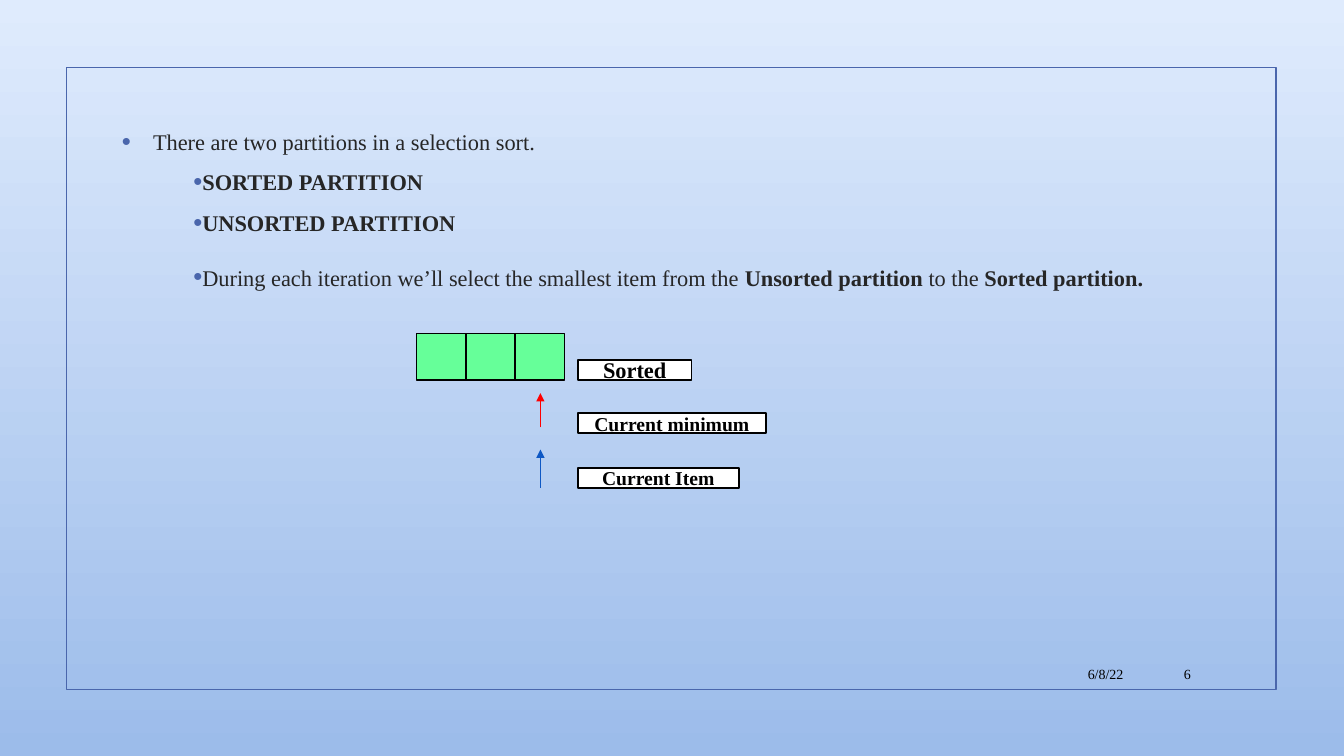
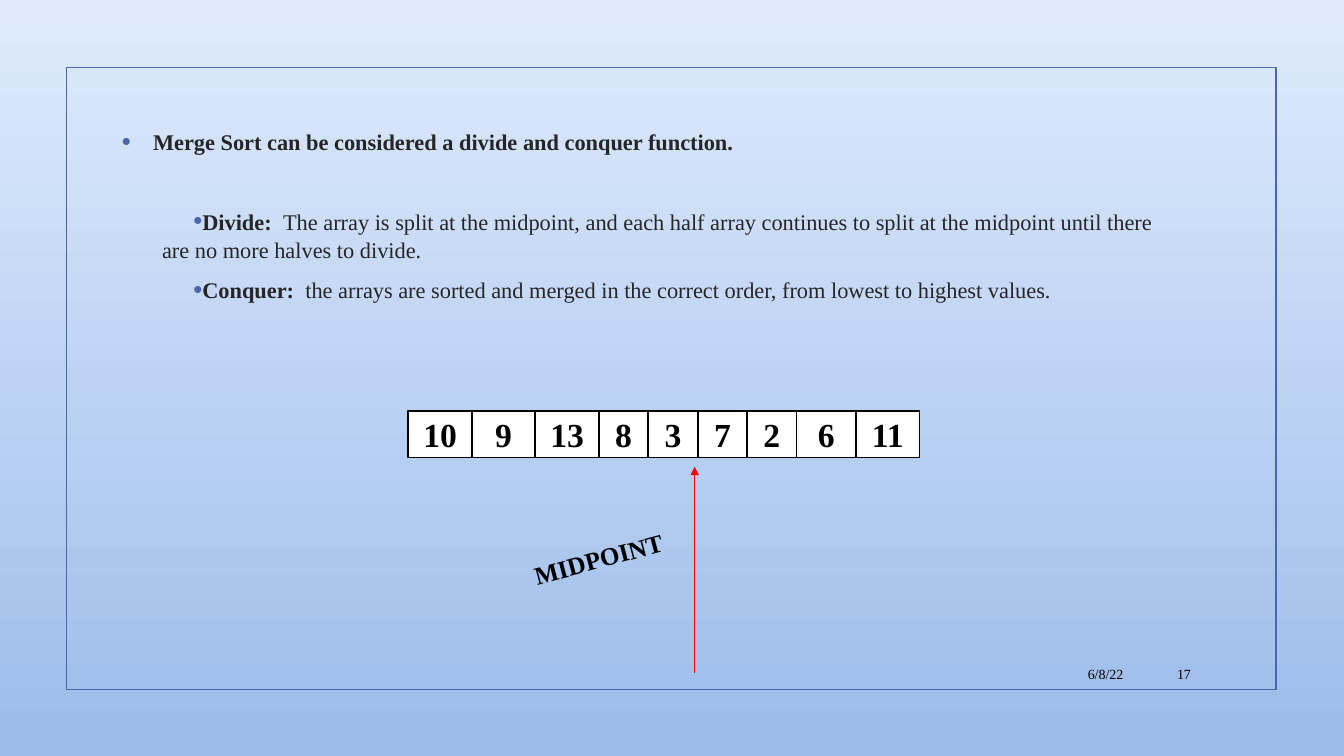
from lxml import etree
from pptx import Presentation
from pptx.dml.color import RGBColor
from pptx.enum.shapes import MSO_CONNECTOR, MSO_SHAPE
from pptx.enum.text import MSO_ANCHOR, PP_ALIGN
from pptx.oxml.ns import qn
from pptx.util import Inches, Pt

RECT, LINE = MSO_SHAPE.RECTANGLE, MSO_CONNECTOR.STRAIGHT
MIDDLE, TOP = MSO_ANCHOR.MIDDLE, MSO_ANCHOR.TOP
LEFT, MID, RIGHT = PP_ALIGN.LEFT, PP_ALIGN.CENTER, PP_ALIGN.RIGHT

# Shared look
FONT = "Times New Roman"
SKY, DUSK, BLUE = "DFEBFD", "9CBCEA", "4A66AC"
INK, BLACK, WHITE = "262626", "000000", "FFFFFF"
GREEN, RED, AZURE = "66FF99", "FF0000", "0E58C4"
FRAME = (0.66, 0.67, 12, 6.17)
BODY = (1.11, 1.21, 10.5, 3.63)
DATE = "6/8/22"
FOOT = {"top": 6.53, "high": 0.31}
HIGH = 0.46  # height of an array cell
MAIN, SUB = (0.31, -0.31), (0.4, 0.31)  # left margin and first-line indent
GAP = 3  # usual space before a paragraph

# Content: body rows are (indent, space before, [(text, bold), ...])
SORT = {
    "page": "6",
    "body": [
        (MAIN, GAP, [("There are two partitions in a selection sort.", False)]),
        (SUB, GAP, [("SORTED PARTITION", True)]),
        (SUB, GAP, [("UNSORTED PARTITION", True)]),
        (SUB, 13, [
            ("During each iteration we’ll select the smallest item from the ", False),
            ("Unsorted partition ", True),
            ("to the ", False),
            ("Sorted partition.", True)]),
    ],
    "cells": (4.13, 3.31, GREEN, [("", 0.49)] * 3),
    "arrows": [(5.36, 4.24, 3.9, RED), (5.36, 4.84, 4.46, AZURE)],
    "labels": [("Sorted", 3.57, 1.13, 16),
               ("Current minimum", 4.1, 1.87, 14),
               ("Current Item", 4.64, 1.6, 14)],
}
MERGE = {
    "page": "17",
    "body": [
        (MAIN, GAP, [
            ("Merge Sort can be considered a divide and conquer function.", True)]),
        (SUB, 31, [
            ("Divide:  ", True),
            ("The array is split at the midpoint, and each half array continues "
             "to split at the midpoint until there are no more halves to divide.",
             False)]),
        (SUB, GAP, [
            ("Conquer:  ", True),
            ("the arrays are sorted and merged in the correct order, from lowest "
             "to highest values.", False)]),
    ],
    "cells": (4.05, 4.08, WHITE, [
        ("10", 0.63), ("9", 0.63), ("13", 0.63), ("8", 0.49), ("3", 0.49),
        ("7", 0.49), ("2", 0.49), ("6", 0.59), ("11", 0.63)]),
    "arrows": [(6.89, 6.68, 4.63, RED)],
    "note": ("MIDPOINT", (5.17, 5.23, 2.38, 0.4), 345.1),
}


def rgb(code):
    return RGBColor.from_string(code)


def assign(obj, vals):
    for name, val in vals.items():
        setattr(obj, name, val)


def add_run(para, text, size, bold=False, color=BLACK):
    run = para.add_run()
    run.text = text
    assign(run.font, {"name": FONT, "size": Pt(size), "bold": bold})
    run.font.color.rgb = rgb(color)


def add_box(slide, at, fill=None, edge=BLACK):
    box = slide.shapes.add_shape(RECT, *map(Inches, at))
    box.shadow.inherit = False
    if fill:
        box.fill.solid()
        box.fill.fore_color.rgb = rgb(fill)
    else:
        box.fill.background()
    box.line.color.rgb = rgb(edge)
    box.line.width = Pt(1.25)
    return box


def put_text(shape, text, size, align, bold=False, anchor=MIDDLE):
    frame = shape.text_frame
    assign(frame, {"word_wrap": True, "vertical_anchor": anchor})
    para = frame.paragraphs[0]
    para.alignment = align
    add_run(para, text, size, bold)


def add_cell(slide, at, text, size, fill):
    box = add_box(slide, at, fill)
    if text:
        assign(box.text_frame, {"margin_" + side: 0 for side in
                                ("left", "right", "top", "bottom")})
        put_text(box, text, size, MID, True)


def add_text(slide, at):
    return slide.shapes.add_textbox(*map(Inches, at))


def add_arrow(slide, left, start, end, color):
    arrow = slide.shapes.add_connector(
        LINE, *map(Inches, (left, start, left, end)))
    arrow.line.color.rgb = rgb(color)
    arrow.line.width = Pt(0.75)
    stroke = arrow.line._get_or_add_ln()
    etree.SubElement(stroke, qn("a:tailEnd"), type="triangle")
    etree.SubElement(arrow._element.spPr, qn("a:effectLst"))


def add_bullet(para, margin, indent):
    props = para._p.get_or_add_pPr()
    props.set("marL", str(Inches(margin)))
    props.set("indent", str(Inches(indent)))
    tint = etree.SubElement(props, qn("a:buClr"))
    etree.SubElement(tint, qn("a:srgbClr"), val=BLUE)
    for tag, key, val in (("a:buSzPct", "val", "115000"),
                          ("a:buFont", "typeface", "Arial"),
                          ("a:buChar", "char", "•")):
        etree.SubElement(props, qn(tag)).set(key, val)


def add_body(slide, rows):
    frame = add_text(slide, BODY).text_frame
    frame.word_wrap = True
    for i, (indent, before, runs) in enumerate(rows):
        para = frame.add_paragraph() if i else frame.paragraphs[0]
        assign(para, {"line_spacing": 1.04, "space_before": Pt(before),
                      "space_after": Pt(6)})
        add_bullet(para, *indent)
        for text, bold in runs:
            add_run(para, text, 16, bold, INK)


def build(deck, data):
    slide = deck.slides.add_slide(deck.slide_layouts[6])
    add_box(slide, FRAME, edge=BLUE)
    add_body(slide, data["body"])

    # Array cells, side by side
    left, top, fill, cells = data["cells"]
    for text, wide in cells:
        add_cell(slide, (left, top, wide, HIGH), text, 24, fill)
        left += wide

    # Pointers and their labels
    for arrow in data["arrows"]:
        add_arrow(slide, *arrow)
    for text, top, wide, size in data.get("labels", []):
        add_cell(slide, (5.73, top, wide, 0.2), text, size, WHITE)
    if "note" in data:
        text, at, turn = data["note"]
        note = add_text(slide, at)
        note.rotation = turn
        put_text(note, text, 18, LEFT, True, TOP)

    # Date and page number
    for text, left, wide in ((DATE, 9.49, 1.75), (data["page"], 11.32, 0.59)):
        box = add_text(slide, (left, FOOT["top"], wide, FOOT["high"]))
        put_text(box, text, 10, RIGHT)


def main():
    deck = Presentation()
    assign(deck, {"slide_width": Inches(13.33), "slide_height": Inches(7.5)})
    fill = deck.slide_master.background.fill
    fill.gradient()
    fill.gradient_angle = 270
    for stop, color in zip(fill.gradient_stops, (SKY, DUSK)):
        stop.color.rgb = rgb(color)
    for data in (SORT, MERGE):
        build(deck, data)
    deck.save("out.pptx")


if __name__ == "__main__":
    main()
